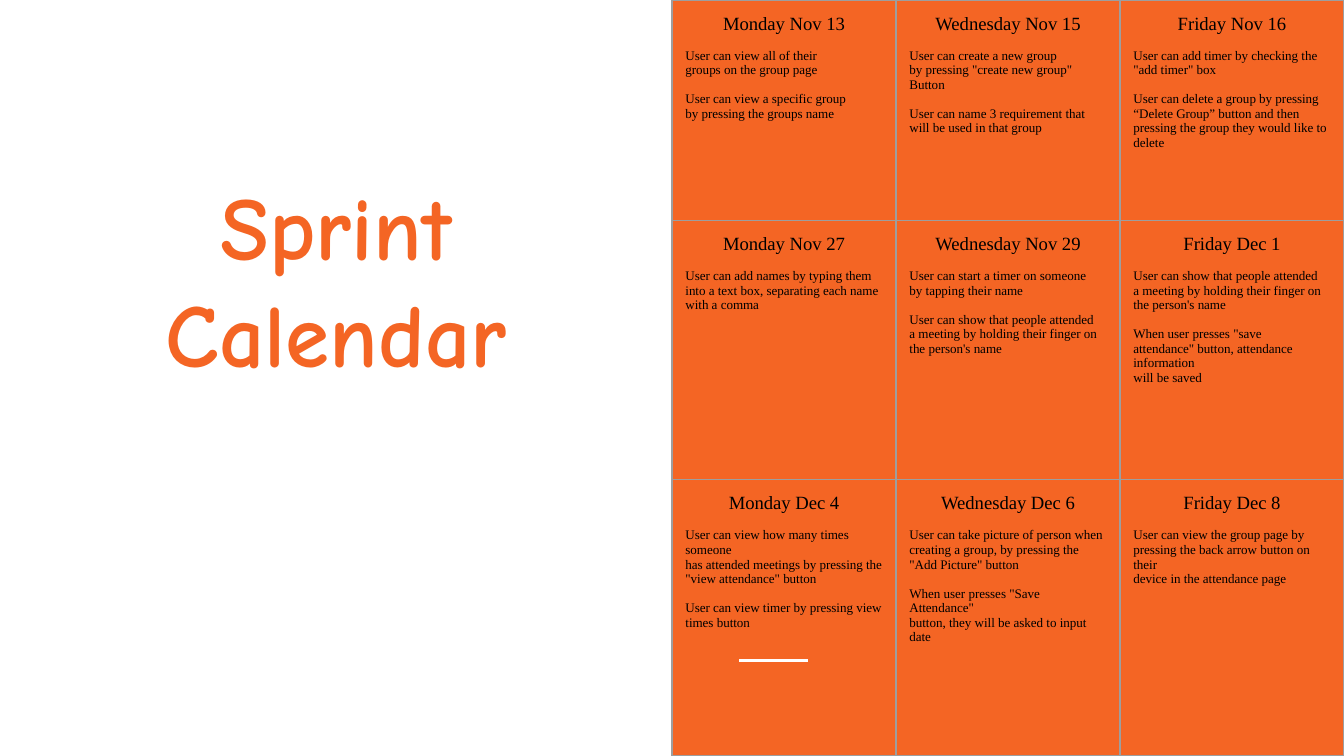
from lxml import etree
from pptx import Presentation
from pptx.dml.color import RGBColor
from pptx.enum.shapes import MSO_CONNECTOR, MSO_SHAPE
from pptx.enum.text import MSO_ANCHOR, PP_ALIGN
from pptx.oxml.ns import qn
from pptx.util import Inches, Pt

RECT = MSO_SHAPE.RECTANGLE
STRAIGHT = MSO_CONNECTOR.STRAIGHT
BOTTOM = MSO_ANCHOR.BOTTOM
CENTER, LEFT = PP_ALIGN.CENTER, PP_ALIGN.LEFT

ORANGE = RGBColor(0xF4, 0x65, 0x24)
WHITE = RGBColor(0xFF, 0xFF, 0xFF)
BLACK = RGBColor(0, 0, 0)
GREY = RGBColor(0x9E, 0x9E, 0x9E)

TITLE_FONT = {"name": "Comic Neue", "size": Pt(48), "bold": True}
DATE_FONT = {"name": "Times New Roman", "size": Pt(10), "bold": False}
STORY_FONT = {"name": "Times New Roman", "size": Pt(7), "bold": False}
INSETS = ("margin_left", "margin_top", "margin_right", "margin_bottom")

# 16:9 slide, split into two halves
SLIDE_W = 10
SLIDE_H = SLIDE_W * 9 / 16
HALF = SLIDE_W / 2
UPPER_ROWS = (1.64, 1.93)

# Each day: date, then its user stories, with one line per paragraph
CALENDAR = [
    [("Monday Nov 13",
      "User can view all of their\ngroups on the group page",
      "User can view a specific group\nby pressing the groups name"),
     ("Wednesday Nov 15",
      'User can create a new group\nby pressing "create new group"\nButton',
      "User can name 3 requirement that will be used in that group"),
     ("Friday Nov 16",
      'User can add timer by checking the\n"add timer" box',
      "User can delete a group by pressing “Delete Group” button and then "
      "pressing the group they would like to delete")],
    [("Monday Nov 27",
      "User can add names by typing them\n"
      "into a text box, separating each name\nwith a comma"),
     ("Wednesday Nov 29",
      "User can start a timer on someone\nby tapping their name",
      "User can show that people attended\n"
      "a meeting by holding their finger on\nthe person's name"),
     ("Friday Dec 1",
      "User can show that people attended\n"
      "a meeting by holding their finger on\nthe person's name",
      'When user presses "save\n'
      'attendance" button, attendance information\nwill be saved')],
    [("Monday Dec 4",
      "User can view how many times someone\n"
      'has attended meetings by pressing the\n"view attendance" button',
      "User can view timer by pressing view\ntimes button"),
     ("Wednesday Dec 6",
      "User can take picture of person when\n"
      'creating a group, by pressing the\n"Add Picture" button',
      'When user presses "Save Attendance"\n'
      "button, they will be asked to input date"),
     ("Friday Dec 8",
      "User can view the group page by\n"
      "pressing the back arrow button on their\ndevice in the attendance page")],
]


def write(p, text, font, color, align=LEFT):
    r = p.add_run()
    r.text = text
    for name, value in font.items():
        setattr(r.font, name, value)
    r.font.color.rgb = color
    p.alignment = align


def set_insets(box):
    for name in INSETS:
        setattr(box, name, Inches(0.1))


def set_borders(cell, color, width):
    tcPr = cell._tc.get_or_add_tcPr()
    for i, side in enumerate(("lnL", "lnR", "lnT", "lnB")):
        ln = etree.Element(qn(f"a:{side}"), w=str(width))
        fill = etree.SubElement(ln, qn("a:solidFill"))
        etree.SubElement(fill, qn("a:srgbClr"), val=str(color))
        tcPr.insert(i, ln)


def add_panel(s, left, top, width, height):
    # Orange half
    panel = s.shapes.add_shape(RECT, Inches(left), Inches(top),
                               Inches(width), Inches(height))
    panel.shadow.inherit = False
    panel.fill.solid()
    panel.fill.fore_color.rgb = ORANGE
    panel.line.fill.background()

    # Short white rule near the foot
    x, y = left + 0.5, top + height - 0.71
    rule = s.shapes.add_connector(STRAIGHT, Inches(x), Inches(y),
                                  Inches(x + 0.51), Inches(y))
    rule.line.color.rgb = WHITE
    rule.line.width = Pt(1.5)
    etree.SubElement(rule._element.spPr, qn("a:effectLst"))


def add_title(s, left, top, width, height):
    sp = s.shapes.add_textbox(Inches(left), Inches(top),
                              Inches(width), Inches(height))
    tf = sp.text_frame
    tf.word_wrap = True
    tf.vertical_anchor = BOTTOM
    set_insets(tf)
    write(tf.paragraphs[0], "Sprint Calendar", TITLE_FONT, ORANGE, CENTER)


def fill_day(cell, date, stories):
    cell.fill.background()
    set_insets(cell)
    set_borders(cell, GREY, Pt(0.75))
    tf = cell.text_frame
    write(tf.paragraphs[0], date, DATE_FONT, BLACK, CENTER)
    for story in stories:
        for i, line in enumerate(story.split("\n")):
            p = tf.add_paragraph()
            if i == 0:
                p.space_before = Pt(7.8)
            write(p, line, STORY_FONT, BLACK)


def add_calendar(s, left, top, width, height):
    heights = (*UPPER_ROWS, height - sum(UPPER_ROWS))
    n_cols = len(CALENDAR[0])
    frame = s.shapes.add_table(len(CALENDAR), n_cols, Inches(left),
                               Inches(top), Inches(width), Inches(height))
    table = frame.table
    table.first_row = table.horz_banding = False
    for col in table.columns:
        col.width = Inches(width / n_cols)
    for row, row_height, days in zip(table.rows, heights, CALENDAR):
        row.height = Inches(row_height)
        for cell, (date, *stories) in zip(row.cells, days):
            fill_day(cell, date, stories)


def main():
    prs = Presentation()
    prs.slide_width, prs.slide_height = Inches(SLIDE_W), Inches(SLIDE_H)
    s = prs.slides.add_slide(prs.slide_layouts[6])
    add_panel(s, HALF, 0, HALF, SLIDE_H)
    add_title(s, 0.29, 1.53, 4.42, 1.44)
    add_calendar(s, HALF, 0, HALF, SLIDE_H)
    prs.save("out.pptx")


if __name__ == "__main__":
    main()
